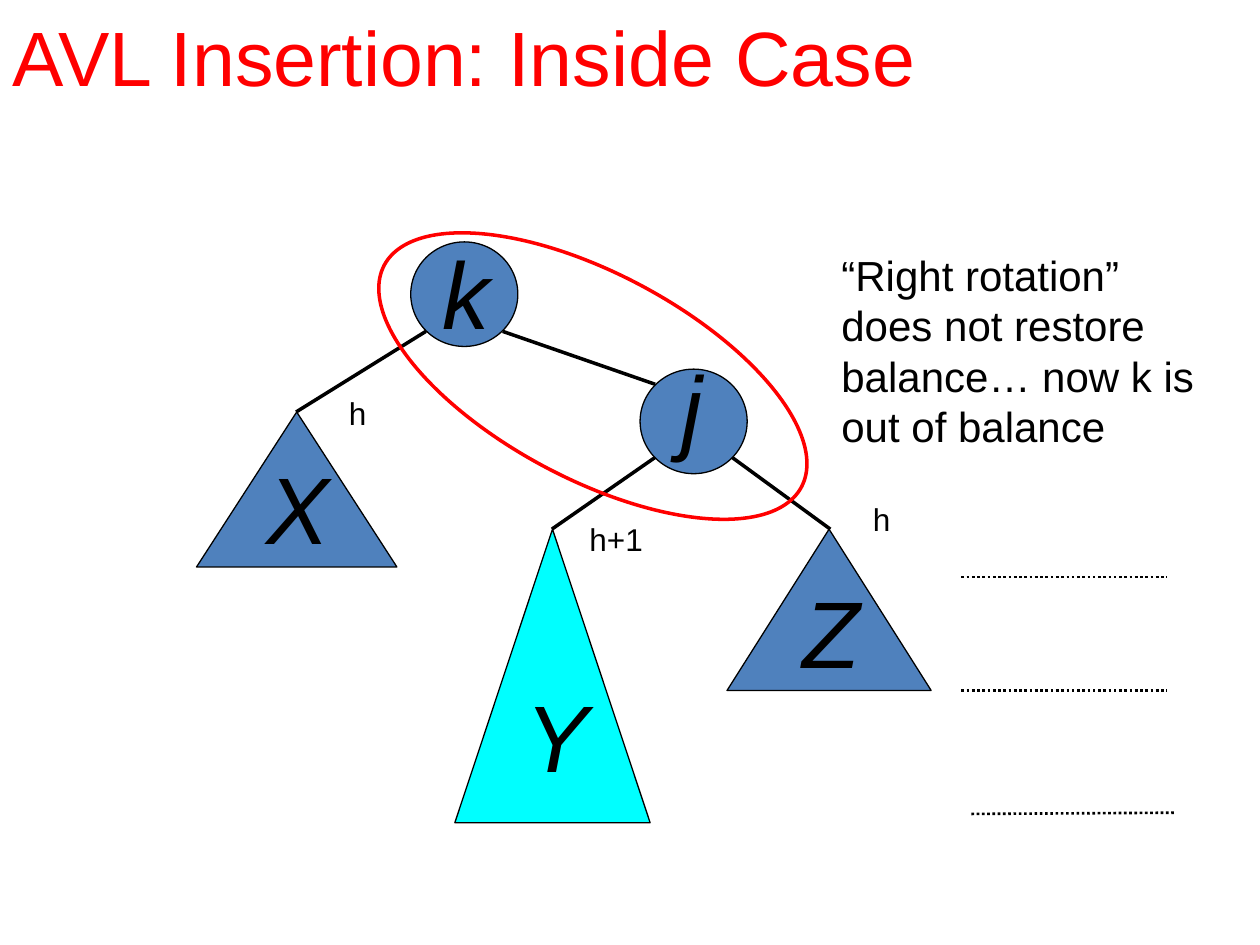
from lxml.etree import SubElement
from pptx import Presentation
from pptx.dml.color import RGBColor
from pptx.enum.dml import MSO_LINE
from pptx.enum.shapes import MSO_CONNECTOR, MSO_SHAPE
from pptx.enum.text import MSO_ANCHOR, PP_ALIGN
from pptx.oxml.ns import qn
from pptx.util import Pt

COLORS = {"black": "000000", "red": "FF0000", "blue": "4F81BD", "cyan": "00FFFF"}
FONT = "Arial"
TITLE = "AVL Insertion: Inside Case"
REMARK = ["“Right rotation”", "does not restore", "balance… now k is", "out of balance"]

# Nodes: left, top of a circle; subtrees: left, top, width, height, fill
NODE_SIZE = (61.2, 59.76)
NODES = {"j": (365.76, 210.96), "k": (234.72, 138.24)}
SUBTREES = {
    "X": (112.32, 235.44, 114.48, 88.56, "blue"),
    "Y": (259.92, 302.4, 111.6, 167.76, "cyan"),
    "Z": (415.44, 302.4, 116.64, 92.16, "blue"),
}
# Left, top of each letter box
LETTERS = {
    "j": (382.32, 195.84),
    "k": (245.52, 131.04),
    "X": (145.44, 253.44),
    "Y": (293.04, 383.76),
    "Z": (451.44, 324.72),
}
# Text, left, top, width
HEIGHTS = [("h", 491.76, 282.24, 25.92), ("h+1", 329.76, 293.76, 48.24), ("h", 192.24, 221.76, 25.92)]
# Start, end
EDGES = [
    ((374.4, 261.36), (315.36, 302.4)),
    ((243.36, 189.36), (169.2, 235.44)),
    ((418.32, 261.36), (474.48, 302.4)),
    ((287.28, 189.36), (374.4, 219.6)),
]
LEVELS = [
    ((549.36, 394.56), (666.72, 394.56)),
    ((549.36, 329.76), (666.72, 329.76)),
    ((555.12, 465.12), (671.76, 464.4)),
]


def color(name):
    return RGBColor.from_string(COLORS[name])


def add_outline(slide, kind, left, top, width, height, fill=None, line="black", weight=0.75):
    shape = slide.shapes.add_shape(kind, Pt(left), Pt(top), Pt(width), Pt(height))
    shape.shadow.inherit = False
    if fill:
        shape.fill.solid()
        shape.fill.fore_color.rgb = color(fill)
    else:
        shape.fill.background()
    shape.line.color.rgb = color(line)
    shape.line.width = Pt(weight)
    return shape


def add_line(slide, start, end, weight, dash=None):
    line = slide.shapes.add_connector(MSO_CONNECTOR.STRAIGHT, *map(Pt, start + end))
    line.line.color.rgb = color("black")
    line.line.width = Pt(weight)
    if dash:
        line.line.dash_style = dash
    SubElement(line._element.spPr, qn("a:effectLst"))


def write(frame, lines, size, ink="black", italic=False):
    frame.text = "\n".join(lines)
    for para in frame.paragraphs:
        para.alignment = PP_ALIGN.LEFT
        para.font.name = FONT
        para.font.size = Pt(size)
        para.font.italic = italic
        para.font.color.rgb = color(ink)


def add_text(slide, lines, left, top, width, height, size, italic=False, wrap=False):
    box = slide.shapes.add_textbox(Pt(left), Pt(top), Pt(width), Pt(height))
    box.text_frame.word_wrap = wrap
    write(box.text_frame, lines, size, italic=italic)


def main():
    deck = Presentation()
    deck.slide_width, deck.slide_height = Pt(720), Pt(540)
    slide = deck.slides.add_slide(deck.slide_layouts[5])

    title = slide.shapes.title
    title.left, title.top, title.width, title.height = Pt(0), Pt(0), Pt(615.6), Pt(63.36)
    title.text_frame.vertical_anchor = MSO_ANCHOR.MIDDLE
    write(title.text_frame, [TITLE], 44, "red")

    for start, end in EDGES:
        add_line(slide, start, end, 2)
    for start, end in LEVELS:
        add_line(slide, start, end, 1.5, MSO_LINE.ROUND_DOT)
    for left, top in NODES.values():
        add_outline(slide, MSO_SHAPE.OVAL, left, top, *NODE_SIZE, fill="blue")
    for left, top, width, height, fill in SUBTREES.values():
        add_outline(slide, MSO_SHAPE.ISOSCELES_TRIANGLE, left, top, width, height, fill)
    for letter, (left, top) in LETTERS.items():
        add_text(slide, [letter], left, top, 37.44, 72, 54, italic=True, wrap=True)

    add_text(slide, REMARK, 473.76, 138.96, 216, 122.4, 24)
    ring = add_outline(slide, MSO_SHAPE.OVAL, 203.76, 156.24, 270, 117.36, line="red", weight=2)
    ring.rotation = 28
    for label, left, top, width in HEIGHTS:
        add_text(slide, [label], left, top, width, 30.96, 18)

    deck.save("out.pptx")


if __name__ == "__main__":
    main()
